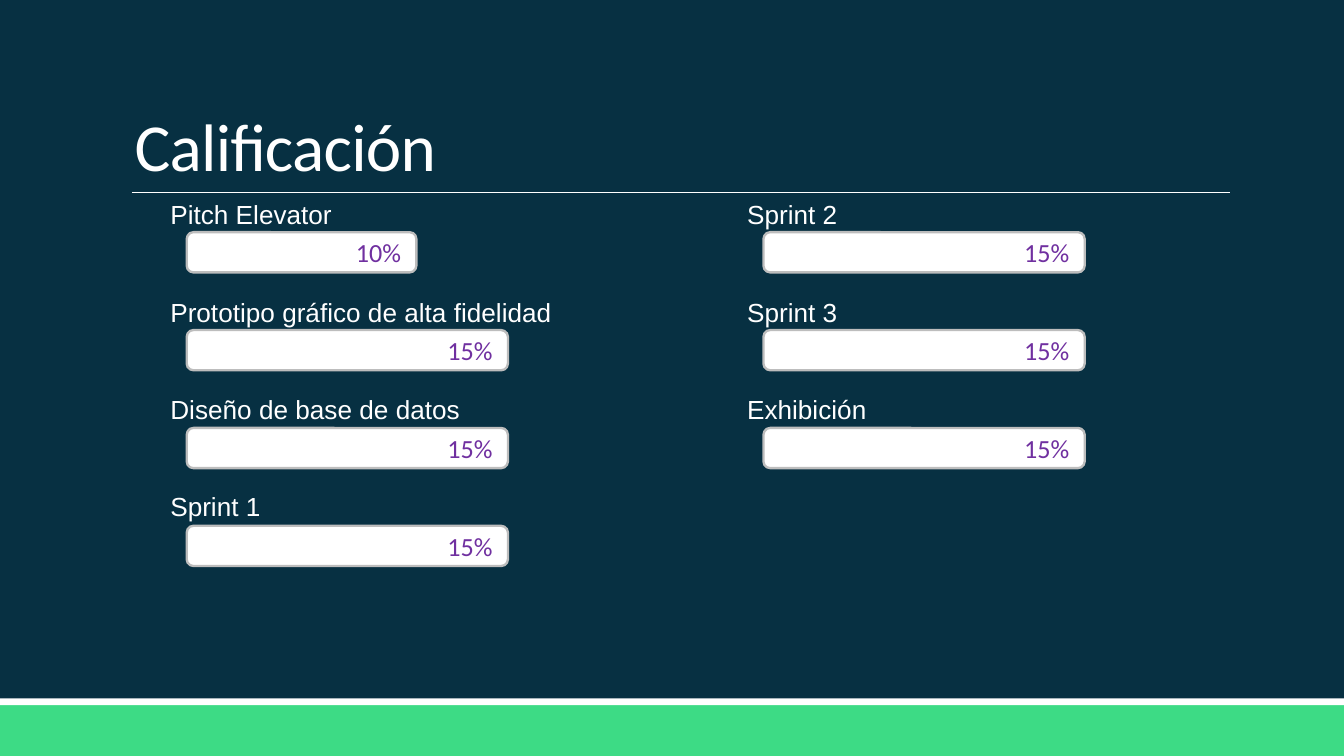
"""Build the slide "Calificación": seven graded items shown as labelled percentage bars."""
from lxml.etree import SubElement
from pptx import Presentation
from pptx.dml.color import RGBColor
from pptx.enum.shapes import MSO_CONNECTOR, MSO_SHAPE
from pptx.enum.text import MSO_ANCHOR, MSO_AUTO_SIZE, PP_ALIGN
from pptx.oxml.ns import qn
from pptx.util import Cm, Pt

COLOURS = {"night": "073042", "green": "3DDB85", "white": "FFFFFF",
           "edge": "BDBDBD", "purple": "7030A0"}
FORMATS = {
    "title": {"name": "Calibri", "size": Pt(36), "colour": "white"},
    "label": {"name": "Arial", "size": Pt(14), "colour": "white"},
    "value": {"name": "Calibri", "size": Pt(14), "colour": "purple"},
}
COLUMNS = [
    (2.97, [("Pitch Elevator", "10%", 4.34),
            ("Prototipo gráfico de alta fidelidad", "15%", 6.07),
            ("Diseño de base de datos", "15%", 6.07),
            ("Sprint 1", "15%", 6.07)]),
    (13.87, [("Sprint 2", "15%", 6.07),
             ("Sprint 3", "15%", 6.07),
             ("Exhibición", "15%", 6.07)]),
]


def write(box, text, style):
    para = box.text_frame.paragraphs[0]
    span = para.add_run()
    span.text = text
    for key, value in FORMATS[style].items():
        if key == "colour":
            span.font.color.rgb = RGBColor.from_string(COLOURS[value])
        else:
            setattr(span.font, key, value)
    return para


def add_block(kind, left, top, width, height, colour):
    block = page.shapes.add_shape(kind, Cm(left), Cm(top), Cm(width), Cm(height))
    block.shadow.inherit = False
    block.fill.solid()
    block.fill.fore_color.rgb = RGBColor.from_string(COLOURS[colour])
    block.line.fill.background()
    return block


deck = Presentation()
deck.slide_width, deck.slide_height = Cm(25.4), Cm(14.29)
page = deck.slides.add_slide(deck.slide_layouts[5])
page.background.fill.solid()
page.background.fill.fore_color.rgb = RGBColor.from_string(COLOURS["night"])

add_block(MSO_SHAPE.RECTANGLE, 0, 13.33, 25.4, 0.96, "green")
add_block(MSO_SHAPE.RECTANGLE, 0, 13.2, 25.4, 0.13, "white")

rule = page.shapes.add_connector(MSO_CONNECTOR.STRAIGHT, Cm(2.49), Cm(3.63), Cm(23.24), Cm(3.63))
rule.line.color.rgb = RGBColor.from_string(COLOURS["white"])
rule.line.width = Pt(0.5)
SubElement(rule._element.spPr, qn("a:effectLst"))

title = page.shapes.title
for key, value in {"left": 2.29, "top": 0.61, "width": 20.96, "height": 3.02}.items():
    setattr(title, key, Cm(value))
title.text_frame.vertical_anchor = MSO_ANCHOR.BOTTOM
heading = write(title, "Calificación", "title")
heading.alignment = PP_ALIGN.LEFT
heading.line_spacing = 0.85
heading.runs[0].font._element.set("spc", "-40")

for left, items in COLUMNS:
    for row, (name, share, width) in enumerate(items):
        label = page.shapes.add_textbox(Cm(left), Cm(3.63 + 1.84 * row), Cm(9), Cm(0.86))
        label.text_frame.word_wrap = True
        label.text_frame.auto_size = MSO_AUTO_SIZE.SHAPE_TO_FIT_TEXT
        write(label, name, "label")

        bar = add_block(MSO_SHAPE.ROUNDED_RECTANGLE, left + 0.56, 4.39 + 1.85 * row,
                        width, 0.76, "white")
        bar.line.color.rgb = RGBColor.from_string(COLOURS["edge"])
        bar.line.width = Pt(1.25)
        bar.text_frame.vertical_anchor = MSO_ANCHOR.MIDDLE
        write(bar, share, "value").alignment = PP_ALIGN.RIGHT

deck.save("out.pptx")
